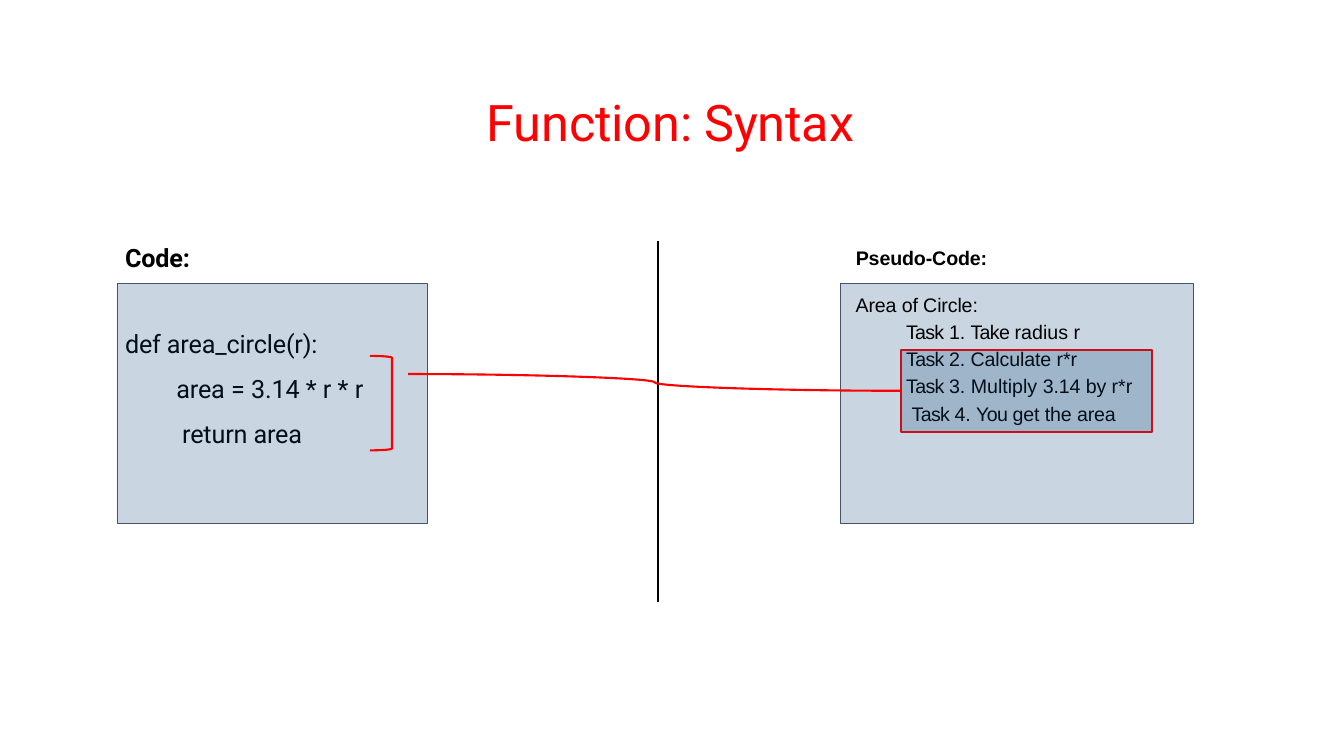
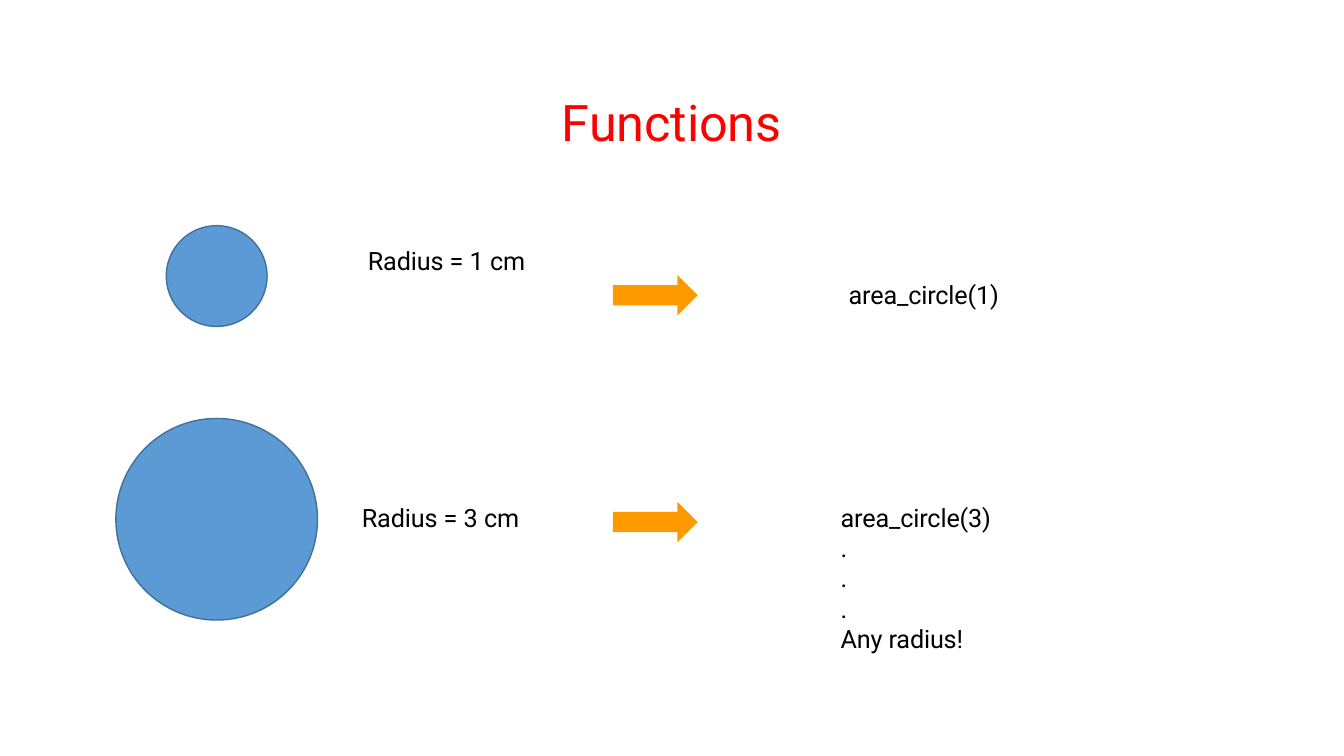
from dataclasses import dataclass
from typing import NamedTuple

from lxml import etree
from pptx import Presentation
from pptx.dml.color import RGBColor
from pptx.enum.shapes import MSO_CONNECTOR, MSO_SHAPE
from pptx.enum.text import MSO_ANCHOR, PP_ALIGN
from pptx.oxml.ns import qn
from pptx.shapes.autoshape import Shape
from pptx.shapes.connector import Connector
from pptx.slide import Slide
from pptx.util import Pt

RECTANGLE = MSO_SHAPE.RECTANGLE
OVAL = MSO_SHAPE.OVAL
RIGHT_ARROW = MSO_SHAPE.RIGHT_ARROW
RIGHT_BRACKET = MSO_SHAPE.RIGHT_BRACKET
STRAIGHT = MSO_CONNECTOR.STRAIGHT
CURVE = MSO_CONNECTOR.CURVE
TOP = MSO_ANCHOR.TOP
MIDDLE = MSO_ANCHOR.MIDDLE
LEFT = PP_ALIGN.LEFT
LEFT_SIDE = 1

COLORS = {
    "accent": "FF0000",
    "ink": "000000",
    "panel": "0B4679",
    "panel_edge": "445469",
    "circle": "5B9AD4",
    "circle_edge": "42709A",
    "arrow": "FF9900",
}
SLIDE_WIDTH, SLIDE_HEIGHT = 960, 540
TITLE_TOP, TITLE_HEIGHT = 63.4, 45.4
PANEL_TOP, PANEL_HEIGHT = 202.4, 171.4
PANEL_OPACITY = 22
TEXT_INSET = 0.72
CIRCLE_CENTER = 154.8
ARROW_LEFT, ARROW_WIDTH, ARROW_HEIGHT = 437.8, 60.5, 28.8
LABEL_WIDTH, LABEL_HEIGHT = 115.2, 23.8


class Box(NamedTuple):
    left: float
    top: float
    width: float
    height: float


class Run(NamedTuple):
    text: str
    tracking: float = -0.1


class Style(NamedTuple):
    font: str
    size: float
    color: str = "ink"
    bold: bool = False


class Outline(NamedTuple):
    color: str
    width: float


TITLE = Style("Roboto", 36, "accent")
BODY = Style("Roboto", 18)
BODY_BOLD = Style("Roboto", 18, bold=True)
TASK = Style("Arial", 14)
TASK_BOLD = Style("Arial", 14, bold=True)
RED_LINE = Outline("accent", 1.5)


@dataclass(frozen=True)
class Line:
    runs: tuple[Run, ...]
    style: Style
    indent: float = 0.72
    before: float = 1
    spacing: float | Pt | None = None


@dataclass(frozen=True)
class RadiusCase:
    radius: float
    center: float
    label_left: float
    label_top: float
    value: str
    arrow_top: float
    call_left: float
    call_top: float
    call_height: float
    call_lines: tuple[str, ...]


RADIUS_CASES = (
    RadiusCase(36, 197.2, 262.1, 174.2, "= 1 ", 196.5, 605.5, 198.7, 23.8,
               ("area_circle(1)",)),
    RadiusCase(72, 370.9, 257.8, 357.8, "= 3 ", 358.5, 599.8, 357.8, 110.9,
               ("area_circle(3)", ".", ".", ".", "Any radius!")),
)


def rgb(name: str) -> RGBColor:
    return RGBColor.from_string(COLORS[name])


def write_lines(shape: Shape, lines: tuple[Line, ...], inset: float = TEXT_INSET,
                anchor: MSO_ANCHOR = TOP) -> None:
    frame = shape.text_frame
    frame.word_wrap = True
    frame.vertical_anchor = anchor
    frame.margin_left = frame.margin_right = frame.margin_bottom = 0
    frame.margin_top = Pt(inset)
    for index, line in enumerate(lines):
        paragraph = frame.add_paragraph() if index else frame.paragraphs[0]
        paragraph.alignment = LEFT
        paragraph.space_before = Pt(line.before)
        if line.spacing is not None:
            paragraph.line_spacing = line.spacing
        properties = paragraph._p.get_or_add_pPr()
        properties.set("marL", str(Pt(line.indent)))
        properties.set("indent", "0")
        for part in line.runs:
            run = paragraph.add_run()
            run.text = part.text
            run.font.name = line.style.font
            run.font.size = Pt(line.style.size)
            run.font.bold = line.style.bold
            run.font.color.rgb = rgb(line.style.color)
            run._r.get_or_add_rPr().set("spc", str(round(part.tracking * 100)))


def add_text(slide: Slide, box: Box, lines: tuple[Line, ...],
             anchor: MSO_ANCHOR = TOP) -> None:
    label = slide.shapes.add_textbox(*map(Pt, box))
    write_lines(label, lines, anchor=anchor)


def add_figure(slide: Slide, preset: MSO_SHAPE, box: Box, fill: str | None = None,
               outline: Outline | None = None, opacity: int = 100) -> Shape:
    figure = slide.shapes.add_shape(preset, *map(Pt, box))
    figure.shadow.inherit = False
    if fill is None:
        figure.fill.background()
    else:
        figure.fill.solid()
        figure.fill.fore_color.rgb = rgb(fill)
        if opacity < 100:
            color = figure._element.spPr.find(qn("a:solidFill"))[0]
            etree.SubElement(color, qn("a:alpha")).set("val", str(opacity * 1000))
    if outline is None:
        figure.line.fill.background()
    else:
        figure.line.color.rgb = rgb(outline.color)
        figure.line.width = Pt(outline.width)
    return figure


def add_panel(slide: Slide, left: float, width: float) -> Shape:
    return add_figure(slide, RECTANGLE, Box(left, PANEL_TOP, width, PANEL_HEIGHT),
                      "panel", Outline("panel_edge", 0.75), PANEL_OPACITY)


def add_link(slide: Slide, kind: MSO_CONNECTOR, start: tuple[float, float],
             end: tuple[float, float], outline: Outline) -> Connector:
    link = slide.shapes.add_connector(kind, *map(Pt, (*start, *end)))
    link.line.color.rgb = rgb(outline.color)
    link.line.width = Pt(outline.width)
    etree.SubElement(link._element.spPr, qn("a:effectLst"))
    return link


def add_titled_slide(deck: Presentation, left: float, width: float,
                     *title: Run) -> Slide:
    slide = deck.slides.add_slide(deck.slide_layouts[6])
    add_text(slide, Box(left, TITLE_TOP, width, TITLE_HEIGHT),
             (Line(title, TITLE),), MIDDLE)
    return slide


def build_syntax(deck: Presentation) -> None:
    slide = add_titled_slide(deck, 347, 267, Run("Function: Syntax"))
    task = Run("Task ", -0.5)

    add_text(slide, Box(610.6, 175, 97, 18.7),
             (Line((Run("Pseudo-Code:"),), TASK_BOLD),))
    body_tasks = add_figure(slide, RECTANGLE, Box(643.7, 249.8, 179.3, 58.7),
                            "panel", RED_LINE, PANEL_OPACITY)
    write_lines(body_tasks, (
        Line((task, Run("2. Calculate "), Run("r*r", 0)), TASK, 3.6, 0, Pt(14.9)),
        Line((task, Run("3. "), Run("Multiply ", 0), Run("3.14 by "), Run("r*r", 0)),
             TASK, 3.6, 0, 1.16),
        Line((task, Run("4. "), Run("You ", -0.5), Run("get the area")),
             TASK, 7.5, 0, 1.16),
    ), 0)
    pseudo_code = add_panel(slide, 600.4, 252)
    write_lines(pseudo_code, (
        Line((Run("Area of Circle:"),), TASK, 10.8, 6.6),
        Line((task, Run("1. "), Run("Take ", -0.5), Run("radius r", 0)),
             TASK, 46.8, 2.7),
    ), 6.5)

    add_text(slide, Box(88.6, 172, 172.8, 152.6), (
        Line((Run("Code:"),), BODY_BOLD),
        Line((Run("def area_circle(r):"),), BODY, 0.72, 29.6, 1.49),
        Line((Run("area "), Run("= ", 0), Run("3.14 "), Run("* r * r", 0)),
             BODY, 37.4, 0, 1.49),
        Line((Run("return area"),), BODY, 41.5, 0, 1.49),
    ))
    add_panel(slide, 84.2, 221)

    add_link(slide, STRAIGHT, (470.2, 172), (470.2, 429.8), Outline("ink", 1.5))
    add_figure(slide, RIGHT_BRACKET, Box(264.2, 254.2, 15.8, 67.5), outline=RED_LINE)
    body_link = add_link(slide, CURVE, (291.6, 267.2), (643.7, 279.15), RED_LINE)
    body_link.end_connect(body_tasks, LEFT_SIDE)


def build_calls(deck: Presentation) -> None:
    slide = add_titled_slide(deck, 400.3, 160, Run("F", -0.4), Run("unctions"))
    for case in RADIUS_CASES:
        diameter = 2 * case.radius
        add_figure(slide, OVAL,
                   Box(CIRCLE_CENTER - case.radius, case.center - case.radius,
                       diameter, diameter),
                   "circle", Outline("circle_edge", 1))
        add_text(slide, Box(case.label_left, case.label_top, LABEL_WIDTH, LABEL_HEIGHT),
                 (Line((Run("Radius "), Run(case.value, 0), Run("cm")), BODY),))
        add_figure(slide, RIGHT_ARROW,
                   Box(ARROW_LEFT, case.arrow_top, ARROW_WIDTH, ARROW_HEIGHT), "arrow")
        add_text(slide, Box(case.call_left, case.call_top, 111, case.call_height),
                 tuple(Line((Run(text),), BODY, before=0.1 if index else 1)
                       for index, text in enumerate(case.call_lines)))


def main() -> None:
    deck = Presentation()
    deck.slide_width, deck.slide_height = Pt(SLIDE_WIDTH), Pt(SLIDE_HEIGHT)
    build_syntax(deck)
    build_calls(deck)
    deck.save("out.pptx")


if __name__ == "__main__":
    main()
